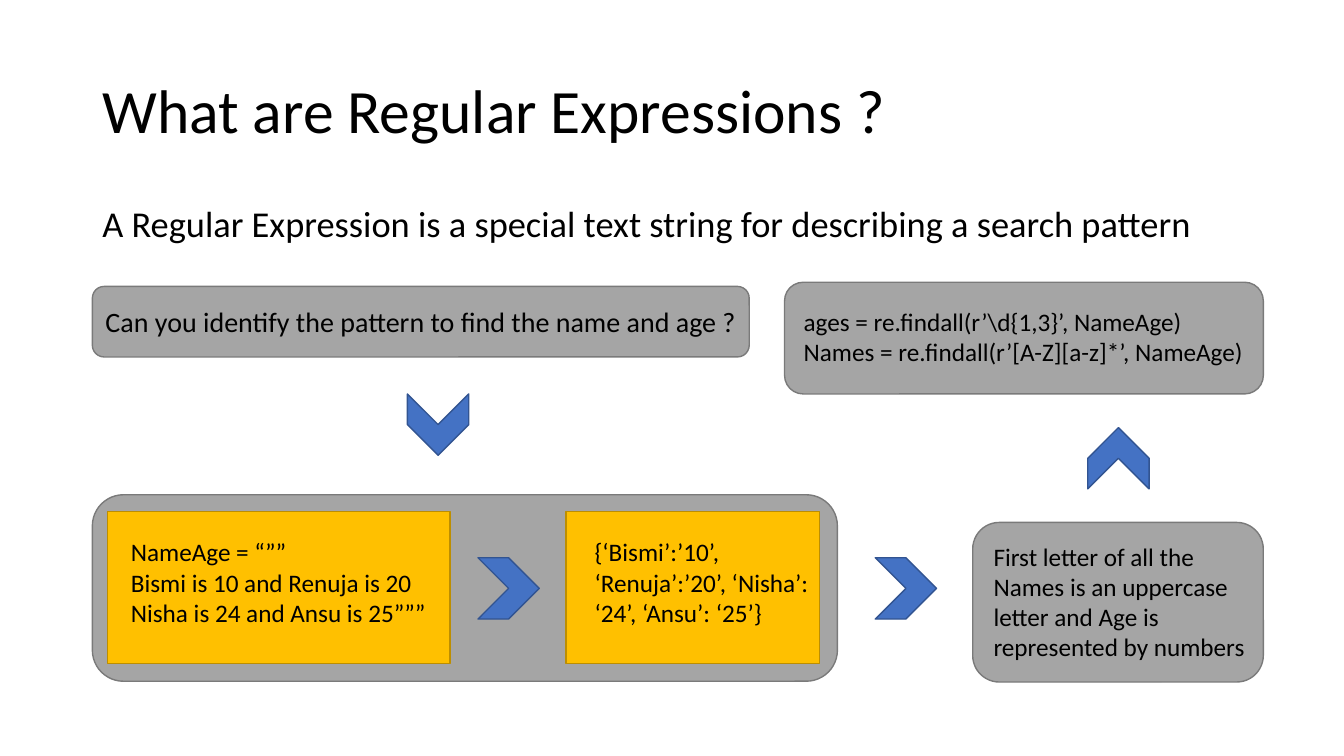
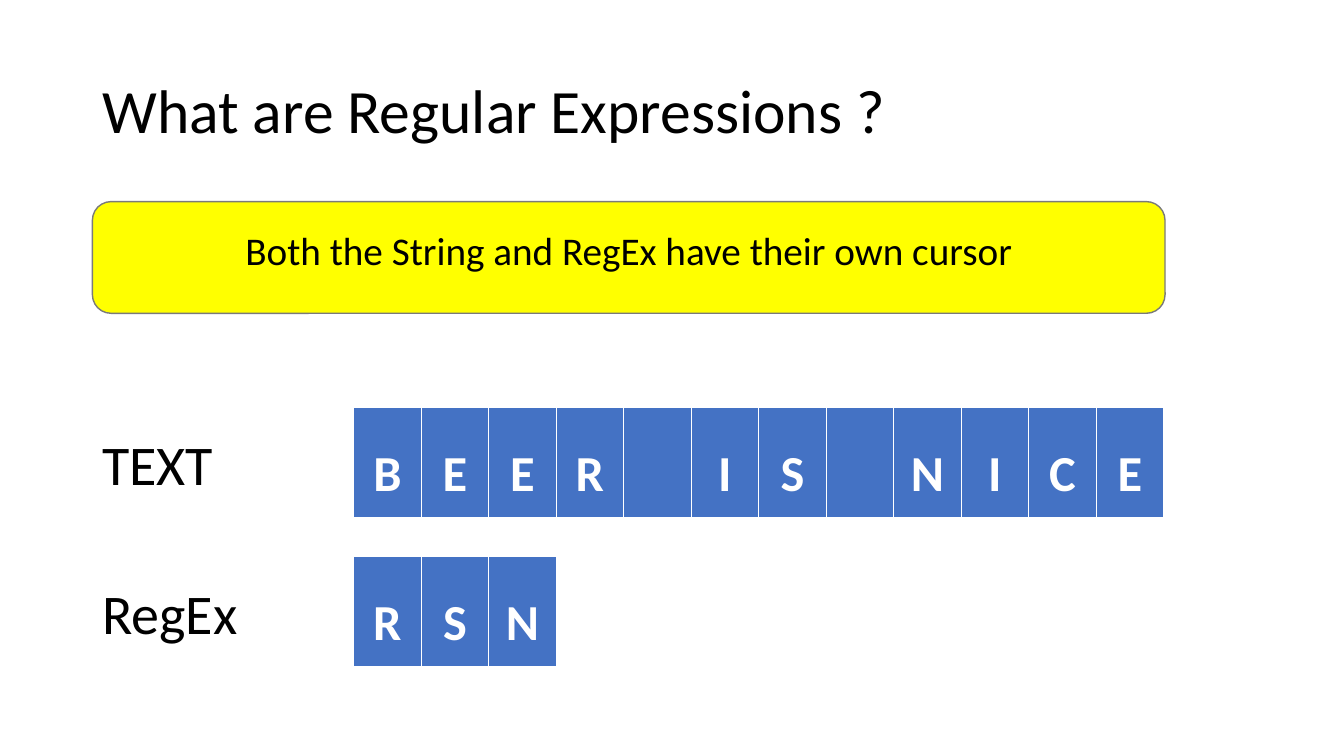
from lxml import etree
from pptx import Presentation, util as u
from pptx.dml.color import RGBColor
from pptx.enum import shapes, text as t
from pptx.oxml import ns

COLORS = {
    "ink": "000000", "white": "FFFFFF", "grey": "A5A5A5", "grey_line": "7A7A7A",
    "amber": "FFC000", "amber_line": "BD8E00", "blue": "4472C4",
    "blue_line": "325491", "yellow": "FFFF00",
}
FONT = "Calibri"
SLIDE_WIDTH, SLIDE_HEIGHT = u.Inches(13.333), u.Inches(7.5)
COLUMNS = 160
STEP = SLIDE_WIDTH / COLUMNS
MARGIN, CONTENT_WIDTH = 11, 138
CHEVRON_SIZE = 7.3
CELL_WIDTH, BAND_HEIGHT = 8.04, 13.3
LABEL_WIDTH = 31.1
ROUNDED = shapes.MSO_SHAPE.ROUNDED_RECTANGLE
RECTANGLE = shapes.MSO_SHAPE.RECTANGLE


def color(name):
    """Return the named colour of the palette."""
    return RGBColor.from_string(COLORS[name])


def place(*grid_lengths):
    """Turn grid lengths into slide lengths."""
    return [u.Emu(round(length * STEP)) for length in grid_lengths]


def fill_text(frame, text, size=18, ink="ink", bold=False, align=t.PP_ALIGN.LEFT,
              spacing=None, before=None):
    """Fill a text frame with one paragraph for each line of text."""
    for index, line in enumerate(text.split("\n")):
        paragraph = frame.add_paragraph() if index else frame.paragraphs[0]
        paragraph.alignment = align
        if spacing:
            paragraph.line_spacing = spacing
        if before:
            paragraph.space_before = u.Pt(before)
        run = paragraph.add_run()
        run.text = line
        run.font.name, run.font.size, run.font.bold = FONT, u.Pt(size), bold
        run.font.color.rgb = color(ink)


def add_text(slide, box, text, anchor=t.MSO_ANCHOR.TOP, **style):
    """Add a wrapping text box on the grid."""
    frame = slide.shapes.add_textbox(*place(*box)).text_frame
    frame.word_wrap = True
    frame.vertical_anchor = anchor
    fill_text(frame, text, **style)


def add_panel(slide, kind, box, fill, line, rotation=0):
    """Add a filled and outlined preset shape on the grid."""
    shape = slide.shapes.add_shape(kind, *place(*box))
    shape.shadow.inherit = False
    shape.fill.solid()
    shape.fill.fore_color.rgb = color(fill)
    shape.line.color.rgb = color(line)
    shape.line.width = u.Pt(1)
    shape.rotation = rotation


def add_card(slide, box, text, inset, text_size, kind=ROUNDED, fill="grey",
             line="grey_line", **style):
    """Add a panel with its text at an inset from the corner."""
    add_panel(slide, kind, box, fill, line)
    text_box = (box[0] + inset[0], box[1] + inset[1], *text_size)
    add_text(slide, text_box, text, **style)


def add_chevron(slide, left, top, rotation=0):
    """Add a chevron that leads to the next step."""
    add_panel(slide, shapes.MSO_SHAPE.CHEVRON, (left, top, CHEVRON_SIZE, CHEVRON_SIZE),
              "blue", "blue_line", rotation)


def add_cell_borders(cell):
    """Draw white borders, heavier at the bottom."""
    properties = cell._tc.get_or_add_tcPr()
    for index, (side, width) in enumerate((("L", 1), ("R", 1), ("T", 1), ("B", 3))):
        border = etree.Element(ns.qn(f"a:ln{side}"), w=str(u.Pt(width)))
        solid = etree.SubElement(border, ns.qn("a:solidFill"))
        etree.SubElement(solid, ns.qn("a:srgbClr"), val=COLORS["white"])
        properties.insert(index, border)


def add_letter_row(slide, left, top, label, letters, label_width):
    """Add a label and a table with one letter in each cell."""
    add_text(slide, (left, top + 2.1, label_width, 9.2), label, size=40)
    box = (left + LABEL_WIDTH, top, CELL_WIDTH * len(letters), BAND_HEIGHT)
    table = slide.shapes.add_table(1, len(letters), *place(*box)).table
    for column, letter in enumerate(letters):
        table.columns[column].width = place(CELL_WIDTH)[0]
        cell = table.cell(0, column)
        cell.fill.solid()
        cell.fill.fore_color.rgb = color("blue")
        add_cell_borders(cell)
        if letter.strip():
            fill_text(cell.text_frame, letter, size=36, ink="white", bold=True,
                      align=t.PP_ALIGN.CENTER, spacing=1.5)


def add_data_panel(slide, left, top):
    """Add the panel that turns the raw string into pairs."""
    add_panel(slide, ROUNDED, (left, top, 88.7, 22.2), "grey", "grey_line")
    amber = dict(kind=RECTANGLE, fill="amber", line="amber_line")
    add_card(slide, (left + 1.8, top + 2, 40.8, 18.1),
             "NameAge = “””\nBismi is 10 and Renuja is 20\nNisha is 24 and Ansu is 25”””",
             (1.6, 2.4), (37.8, 12.1), **amber)
    add_chevron(slide, left + 45.9, top + 7.5)
    add_card(slide, (left + 56.4, top + 2, 30.2, 18.1),
             "{‘Bismi’:’10’, ‘Renuja’:’20’, ‘Nisha’: ‘24’, ‘Ansu’: ‘25’}",
             (2.2, 2.4), (28, 12.1), **amber)


def start_slide(presentation):
    """Add a blank slide with the shared title."""
    slide = presentation.slides.add_slide(presentation.slide_layouts[6])
    add_text(slide, (MARGIN, 4.8, CONTENT_WIDTH, 17.4), "What are Regular Expressions ?",
             anchor=t.MSO_ANCHOR.MIDDLE, size=44, spacing=0.9)
    return slide


def build_pattern_slide(presentation):
    """Build the flow from question to search pattern."""
    slide = start_slide(presentation)
    add_text(slide, (MARGIN, 20.8, CONTENT_WIDTH, 60.4),
             "A Regular Expression is a special text string for describing a search pattern",
             size=26, spacing=1.5, before=10)
    add_card(slide, (MARGIN, 34.1, 78.2, 8.4),
             "Can you identify the pattern to find the name and age ?",
             (0, 1.6), (78.2, 5.3), size=20, align=t.PP_ALIGN.CENTER)
    add_chevron(slide, 48.5, 46.9, rotation=90)
    add_data_panel(slide, MARGIN, 58.9)
    add_chevron(slide, 104.2, 66.4)
    add_card(slide, (115.8, 62.2, 34.6, 19),
             "First letter of all the Names is an uppercase letter and Age is "
             "represented by numbers", (1.3, 1.6), (33.1, 15.7))
    add_chevron(slide, 129.5, 50.9, rotation=270)
    add_card(slide, (93.4, 33.6, 57, BAND_HEIGHT),
             "ages = re.findall(r’\\d{1,3}’, NameAge)\n"
             "Names = re.findall(r’[A-Z][a-z]*’, NameAge)", (1.1, 2.3), (55.9, 8.5))


def build_cursor_slide(presentation):
    """Build the letter rows of the string and the expression."""
    slide = start_slide(presentation)
    add_card(slide, (MARGIN, 24, 127.7, BAND_HEIGHT),
             "Both the String and RegEx have their own cursor",
             (0, 2.4), (127.7, 6.8), fill="yellow", size=28, align=t.PP_ALIGN.CENTER)
    add_letter_row(slide, MARGIN, 48.5, "TEXT", "BEER IS NICE", 24.1)
    add_letter_row(slide, MARGIN, 66.2, "RegEx", "RSN", LABEL_WIDTH)


def main():
    """Build and save the presentation."""
    presentation = Presentation()
    presentation.slide_width, presentation.slide_height = SLIDE_WIDTH, SLIDE_HEIGHT
    build_pattern_slide(presentation)
    build_cursor_slide(presentation)
    presentation.save("out.pptx")


if __name__ == "__main__":
    main()
